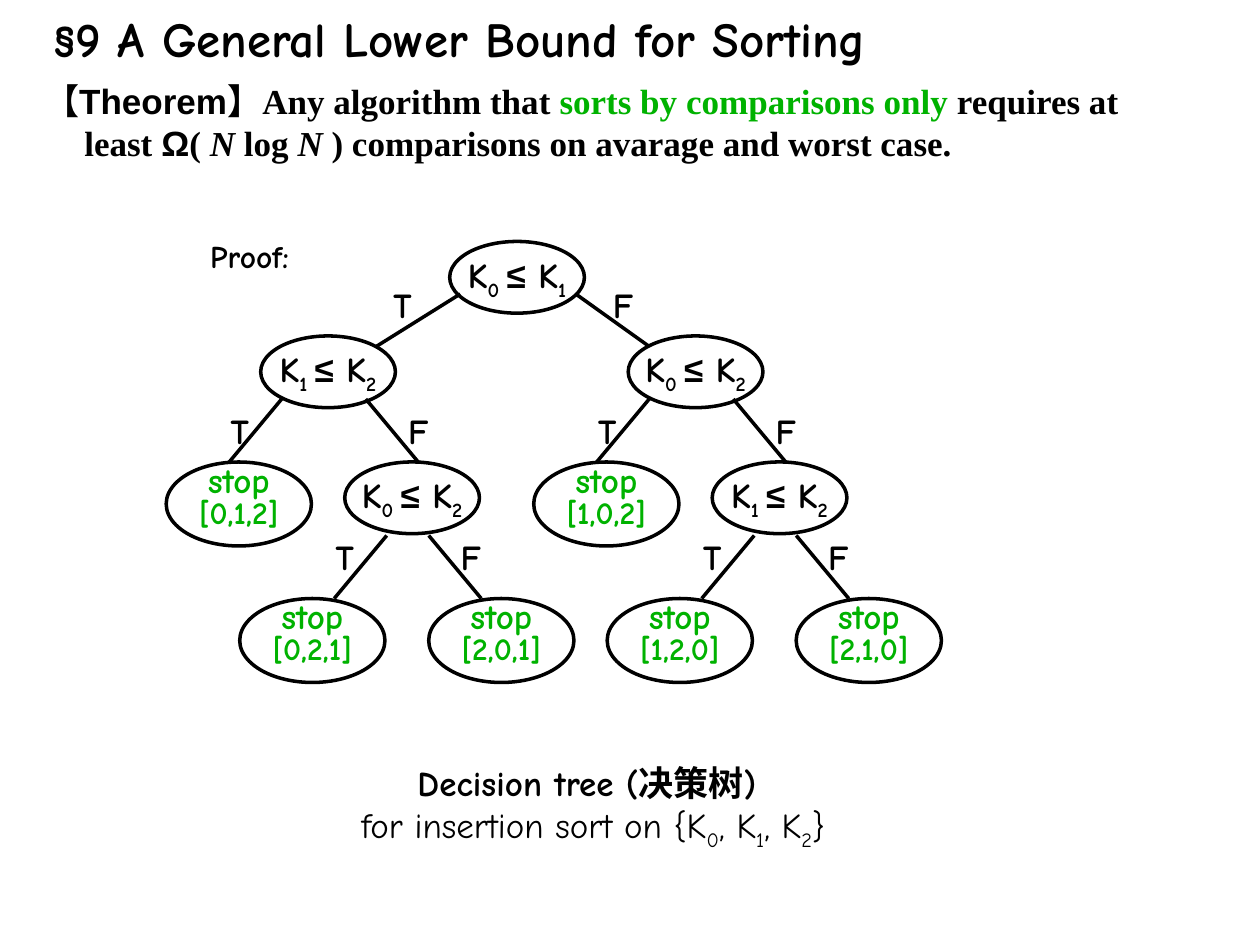
from dataclasses import dataclass

from lxml.etree import SubElement
from pptx import Presentation
from pptx.dml.color import RGBColor
from pptx.enum.shapes import MSO_CONNECTOR as Connector, MSO_SHAPE as Preset
from pptx.enum.text import MSO_ANCHOR as Anchor, MSO_AUTO_SIZE as AutoSize, PP_ALIGN as Align
from pptx.oxml.ns import qn
from pptx.util import Pt


@dataclass(frozen=True)
class Theme:
    ink: RGBColor = RGBColor(0, 0, 0)
    accent: RGBColor = RGBColor(0x00, 0xB2, 0x00)
    hand: str = "Comic Neue"
    serif: str = "Times New Roman"
    sans: str = "Arial"
    title: int = 28
    text: int = 20
    small: int = 18
    stroke: int = 2


THEME = Theme()
SUB = {"baseline": -25000}
ITALIC = {"italic": True}
SANS = {"font": THEME.sans}
NODE_SIZE = (77, 41)
LEAF_SIZE = (83, 48)
LABEL_SIZE = (24, 24)
SUBTREE_SHIFT = 210


def write(frame, paragraphs, *, font=THEME.hand, size=THEME.text, color=THEME.ink,
          bold=True, align=Align.LEFT, anchor=Anchor.TOP, wrap=True,
          spacing=1.0, insets=(7.2, 3.6, 7.2, 3.6), hanging=0, tab=None):
    frame.word_wrap = wrap
    frame.auto_size = AutoSize.NONE
    frame.vertical_anchor = anchor
    (frame.margin_left, frame.margin_top,
     frame.margin_right, frame.margin_bottom) = map(Pt, insets)
    for index, runs in enumerate(paragraphs):
        paragraph = frame.add_paragraph() if index else frame.paragraphs[0]
        properties = paragraph._p.get_or_add_pPr()
        properties.set("marL", str(Pt(hanging)))
        properties.set("indent", str(Pt(-hanging)))
        paragraph.alignment = align
        paragraph.line_spacing = spacing
        paragraph.space_before = paragraph.space_after = Pt(0)
        SubElement(properties, qn("a:buNone"))
        if tab:
            stops = SubElement(properties, qn("a:tabLst"))
            SubElement(stops, qn("a:tab"), pos=str(Pt(tab)), algn="l")
        for text, style in runs:
            run = paragraph.add_run()
            run.text = text
            run.font.name = style.get("font", font)
            run.font.size = Pt(style.get("size", size))
            run.font.color.rgb = style.get("color", color)
            run.font.bold = style.get("bold", bold)
            run.font.italic = style.get("italic", False)
            if "baseline" in style:
                run._r.get_or_add_rPr().set("baseline", str(style["baseline"]))


def place(holder, left, top, width, height):
    holder.left, holder.top = Pt(left), Pt(top)
    holder.width, holder.height = Pt(width), Pt(height)
    return holder.text_frame


def text_area(slide, left, top, width, height):
    return slide.shapes.add_textbox(Pt(left), Pt(top), Pt(width), Pt(height)).text_frame


def oval(slide, left, top, size):
    ellipse = slide.shapes.add_shape(Preset.OVAL, Pt(left), Pt(top), *map(Pt, size))
    ellipse.shadow.inherit = False
    ellipse.fill.background()
    ellipse.line.color.rgb = THEME.ink
    ellipse.line.width = Pt(THEME.stroke)
    return ellipse.text_frame


def comparison(slide, left, top, first, second):
    runs = [("K", {}), (f"{first} ", SUB), ("≤", SANS), (" K", {}), (f"{second}", SUB)]
    write(oval(slide, left, top, NODE_SIZE), [runs],
          align=Align.CENTER, anchor=Anchor.MIDDLE, wrap=False)


def leaf(slide, left, top, order):
    write(oval(slide, left, top, LEAF_SIZE),
          [[("stop", {})], [(f"[{order}]", {"size": THEME.small})]],
          color=THEME.accent, align=Align.CENTER, anchor=Anchor.MIDDLE,
          wrap=False, spacing=0.8, insets=(7.2, 0, 7.2, 6.5))


def branch(slide, left, top, start, end, answer, label_at):
    ends = (left + start[0], top + start[1], left + end[0], top + end[1])
    edge = slide.shapes.add_connector(Connector.STRAIGHT, *map(Pt, ends))
    edge.line.color.rgb = THEME.ink
    edge.line.width = Pt(THEME.stroke)
    SubElement(edge._element.spPr, qn("a:effectLst"))
    label = text_area(slide, left + label_at[0], top + label_at[1], *LABEL_SIZE)
    write(label, [[(answer, {})]], align=Align.CENTER, anchor=Anchor.MIDDLE, wrap=False)


def subtree(slide, left, top, upper, lower, orders):
    comparison(slide, left + 54, top, *upper)
    comparison(slide, left + 102, top + 72, *lower)
    for (x, y), order in zip([(0, 72), (42, 150), (150, 150)], orders):
        leaf(slide, left + x, top + y, order)
    branch(slide, left, top, (66, 36), (36, 72), "T", (30, 42))
    branch(slide, left, top, (114, 36), (144, 72), "F", (132, 42))
    branch(slide, left, top, (126, 114), (96, 150), "T", (90, 114))
    branch(slide, left, top, (150, 114), (180, 150), "F", (162, 114))


def decision_tree(slide, left, top):
    comparison(slide, left + 162, top, 0, 1)
    branch(slide, left, top, (168, 30), (120, 60), "T", (123, 24))
    branch(slide, left, top, (234, 30), (276, 60), "F", (249, 24))
    halves = [((1, 2), (0, 2), ("0,1,2", "0,2,1", "2,0,1")),
              ((0, 2), (1, 2), ("1,0,2", "1,2,0", "2,1,0"))]
    for index, half in enumerate(halves):
        subtree(slide, left + index * SUBTREE_SHIFT, top + 54, *half)


def heading(slide, *box):
    write(place(slide.shapes.title, *box),
          [[("§9\tA General Lower Bound for Sorting", {})]], size=THEME.title, tab=46)


def theorem(slide, *box):
    runs = [("【Theorem】", SANS), ("Any algorithm that ", {}),
            ("sorts by comparisons only", {"color": THEME.accent}),
            (" requires at least ", {}), ("Ω", SANS), ("( ", {}), ("N", ITALIC),
            (" log ", {}), ("N", ITALIC),
            (" ) comparisons on avarage and worst case.", {})]
    write(place(slide.placeholders[1], *box), [runs], font=THEME.serif, hanging=23)


def proof(slide, *box):
    write(text_area(slide, *box), [[("Proof:", {})]], size=THEME.small)


def caption(slide, *box):
    light, light_sub = {"bold": False}, {"bold": False, **SUB}
    keys = [("for insertion sort on {K", light), ("0", light_sub), (", K", light),
            ("1", light_sub), (", K", light), ("2", light_sub), ("}", light)]
    write(text_area(slide, *box), [[("Decision tree (决策树) ", {})], keys],
          align=Align.CENTER, anchor=Anchor.MIDDLE, wrap=False)


def main():
    deck = Presentation()
    deck.slide_width, deck.slide_height = Pt(720), Pt(540)
    slide = deck.slides.add_slide(deck.slide_layouts[1])
    heading(slide, 24, 1.5, 642, 41)
    theorem(slide, 18, 42, 660, 55)
    proof(slide, 113, 132, 84, 29)
    decision_tree(slide, 95, 138)
    caption(slide, 90, 440, 498, 42)
    deck.save("out.pptx")


if __name__ == "__main__":
    main()
